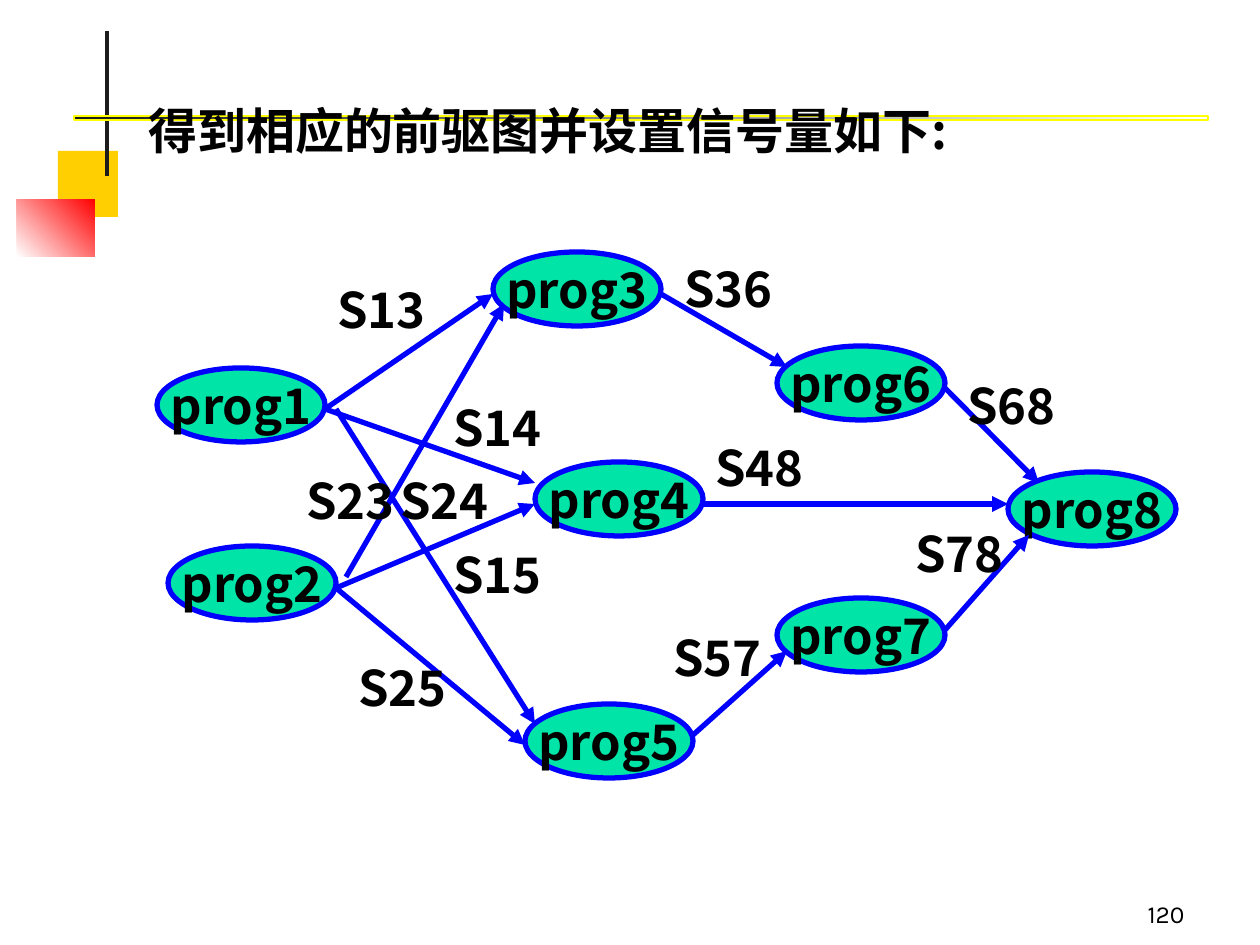
from lxml import etree
from pptx import Presentation
from pptx import util as u
from pptx.dml.color import RGBColor
from pptx.enum import shapes, text
from pptx.oxml.ns import qn

PX = 914400 / 126
CJK = "Noto Sans CJK SC"
BLUE = "0000FF"
NODE_W, NODE_H = 168, 74
LABEL_W, LABEL_H = 116, 72

NODES = {
    "prog1": (0, 116), "prog2": (11, 294), "prog3": (336, 0), "prog4": (378, 210),
    "prog5": (368, 452), "prog6": (620, 94), "prog7": (620, 346), "prog8": (851, 220),
}
EDGES = [
    ("S13", (168, 157), (336, 42), (168, 21)),
    ("S25", (179, 336), (368, 493), (189, 399)),
    ("S24", (179, 336), (378, 252), (231, 212)),
    ("S23", (189, 325), (347, 52), (137, 212)),
    ("S14", (168, 157), (378, 231), (284, 139)),
    ("S15", (179, 157), (378, 472), (284, 286)),
    ("S36", (504, 42), (630, 115), (515, 0)),
    ("S57", (536, 483), (630, 399), (504, 369)),
    ("S48", (546, 252), (851, 252), (546, 179)),
    ("S78", (788, 378), (872, 283), (746, 265)),
    ("S68", (788, 136), (882, 231), (798, 117)),
]


def px(*values):
    return [u.Emu(round(v * PX)) for v in values]


def rgb(color):
    return RGBColor.from_string(color)


def write(tf, content, size=28, font=CJK, bold=True, align=text.PP_ALIGN.LEFT):
    p = tf.paragraphs[0]
    p.add_run().text = content
    p.alignment = align
    p.font.size = u.Pt(size)
    p.font.bold = bold
    p.font.name = font
    p.font.color.rgb = rgb("000000")
    props = p._p.pPr.find(qn("a:defRPr"))
    etree.SubElement(props, qn("a:ea")).set("typeface", font)


def text_box(slide, box, content, anchor=text.MSO_ANCHOR.TOP, **style):
    tf = slide.shapes.add_textbox(*px(*box)).text_frame
    tf.word_wrap = True
    tf.vertical_anchor = anchor
    write(tf, content, **style)


def shape(slide, kind, box, fill, line=None, width=0.75):
    sp = slide.shapes.add_shape(kind, *px(*box))
    sp.shadow.inherit = False
    if isinstance(fill, str):
        sp.fill.solid()
        sp.fill.fore_color.rgb = rgb(fill)
    else:
        start, end, angle = fill
        sp.fill.gradient()
        sp.fill.gradient_angle = angle
        for stop, color, position in zip(sp.fill.gradient_stops, (start, end), (0, 1)):
            stop.color.rgb = rgb(color)
            stop.position = position
    if line:
        sp.line.color.rgb = rgb(line)
        sp.line.width = u.Pt(width)
    else:
        sp.line.fill.background()
    return sp


def arrow(slide, start, end):
    c = slide.shapes.add_connector(shapes.MSO_CONNECTOR.STRAIGHT, *px(*start, *end))
    c.line.color.rgb = rgb(BLUE)
    c.line.width = u.Pt(3)
    etree.SubElement(c.line._get_or_add_ln(), qn("a:tailEnd")).set("type", "triangle")
    etree.SubElement(c._element.spPr, qn("a:effectLst"))


def decoration(slide, x, y):
    rect = shapes.MSO_SHAPE.RECTANGLE
    shape(slide, rect, (x + 41, y + 120, 60, 66), "FFCF01")
    shape(slide, rect, (x, y + 168, 78, 58), ("FFFFFF", "FF0000", 45))
    shape(slide, rect, (x + 88, y, 4, 145), "1C1C1C")
    shape(slide, rect, (x + 57, y + 85, 1134, 4), ("1C1C1C", "FFFFFF", 0), "FFFF00")


def precedence_graph(slide, x, y):
    def at(point):
        return x + point[0], y + point[1]

    for name, corner in NODES.items():
        sp = shape(slide, shapes.MSO_SHAPE.OVAL, (*at(corner), NODE_W, NODE_H),
                   "00E4A8", BLUE, 3)
        tf = sp.text_frame
        tf.word_wrap = False
        tf.vertical_anchor = text.MSO_ANCHOR.MIDDLE
        write(tf, name, align=text.PP_ALIGN.CENTER)
    for _, start, end, _ in EDGES:
        arrow(slide, at(start), at(end))
    for name, _, _, corner in EDGES:
        text_box(slide, (*at(corner), LABEL_W, LABEL_H), name)


def main():
    prs = Presentation()
    prs.slide_width, prs.slide_height = px(1260, 945)
    slide = prs.slides.add_slide(prs.slide_layouts[6])
    decoration(slide, 17, 31)
    text_box(slide, (935, 872, 262, 63), "120", text.MSO_ANCHOR.BOTTOM,
             size=14, font="Karla", bold=False, align=text.PP_ALIGN.RIGHT)
    text_box(slide, (136, 94, 1071, 72), "得到相应的前驱图并设置信号量如下:")
    precedence_graph(slide, 157, 252)
    prs.save("out.pptx")


if __name__ == "__main__":
    main()
